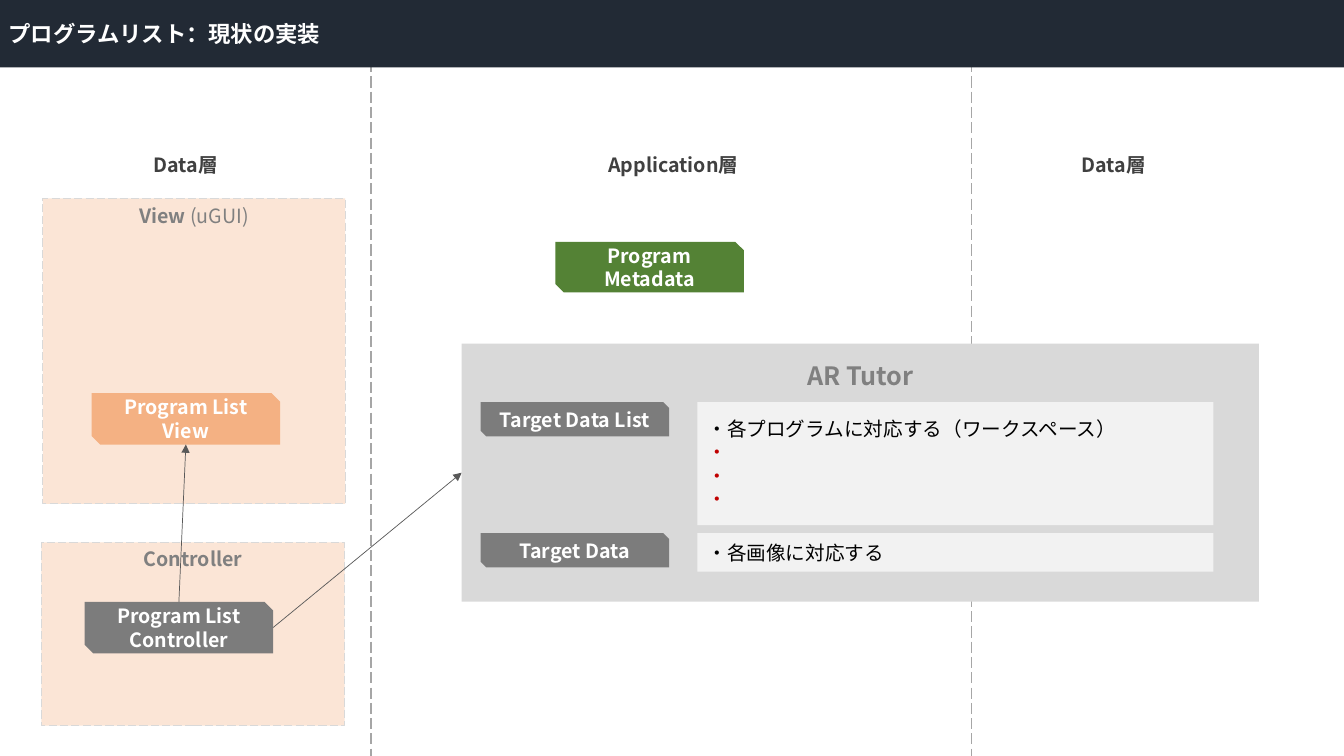
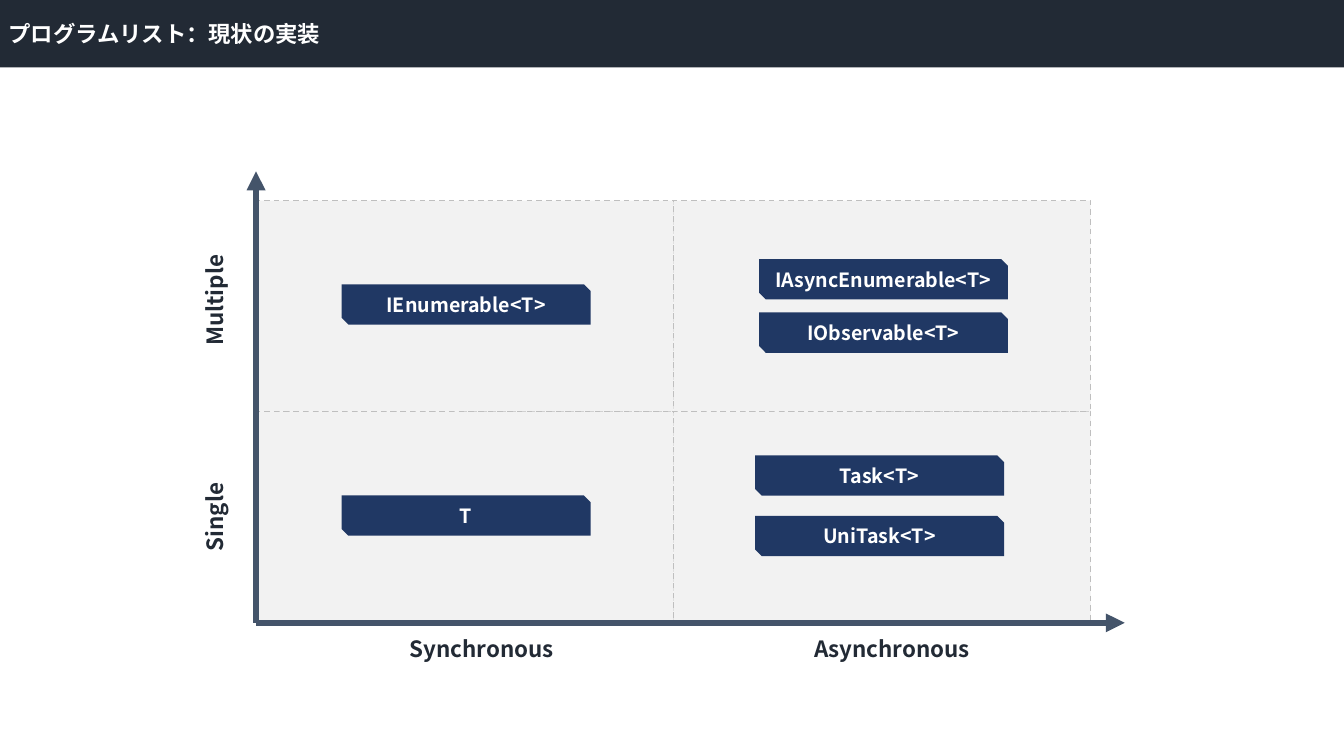
import pptx
import pptx.dml.color
import pptx.enum.dml
import pptx.enum.shapes
import pptx.enum.text
import pptx.oxml.ns
import pptx.util
from lxml import etree

Pt = pptx.util.Pt
SHAPE = pptx.enum.shapes.MSO_SHAPE
DASH = pptx.enum.dml.MSO_LINE
ANCHOR = pptx.enum.text.MSO_ANCHOR
ALIGN = pptx.enum.text.PP_ALIGN

FONT = "Noto Sans CJK JP"
NAVY, DARK, SLATE, GREEN, ORANGE = "203864", "222A35", "44546A", "548235", "F4B183"
PEACH, GREY, MID_GREY, PALE, SILVER = "FBE5D6", "7C7C7C", "808080", "F2F2F2", "D9D9D9"

TAG_TEXT = {"size": 14, "bold": True, "color": "FFFFFF"}
NOTE_TEXT = {"size": 14, "bold": False, "color": "000000", "align": ALIGN.LEFT}
BAND_TEXT = {"size": 16, "bold": True, "color": "FFFFFF", "align": ALIGN.LEFT}
LAYER_TEXT = {"size": 14, "bold": True, "color": "404040"}
AREA_TEXT = {"size": 14, "bold": True, "color": MID_GREY, "anchor": ANCHOR.TOP}
PANEL_TEXT = {"size": 18, "bold": True, "color": MID_GREY, "anchor": ANCHOR.TOP}
AXIS_TEXT = {"size": 16, "bold": True, "color": DARK}

SLIDE_W, SLIDE_H = 960, 540
TITLE = "プログラムリスト：現状の実装"


def paint(color_format, color):
    color_format.rgb = pptx.dml.color.RGBColor.from_string(color)


def assign(target, formats):
    for name, value in formats.items():
        setattr(target, name, value)


def xml_child(parent, tag, **attributes):
    return etree.SubElement(parent, pptx.oxml.ns.qn(tag), attributes)


def write(frame, paragraphs, style):
    """Fill a frame; a paragraph is a string or a list of (text, style changes)."""
    assign(frame, {"word_wrap": True,
                   "vertical_anchor": style.get("anchor", ANCHOR.MIDDLE)})
    for index, content in enumerate(paragraphs):
        paragraph = frame.paragraphs[0] if index == 0 else frame.add_paragraph()
        paragraph.alignment = style.get("align", ALIGN.CENTER)
        runs = [(content, {})] if isinstance(content, str) else content
        for text, changes in runs:
            look = {**style, **changes}
            run = paragraph.add_run()
            run.text = text
            assign(run.font, {"name": FONT, "size": Pt(look["size"]),
                              "bold": look["bold"]})
            paint(run.font.color, look["color"])
            xml_child(run.font._element, "a:ea", typeface=FONT)


def stroke(line, color, width, dash=None):
    paint(line.color, color)
    assign(line, {"width": Pt(width), "dash_style": dash})


def add_block(slide, box, fill, paragraphs=(), style=None, kind=SHAPE.RECTANGLE,
              outline=None):
    block = slide.shapes.add_shape(kind, *map(Pt, box))
    block.shadow.inherit = False
    block.fill.solid()
    paint(block.fill.fore_color, fill)
    if outline:
        stroke(block.line, *outline)
    else:
        block.line.fill.background()
    if paragraphs:
        write(block.text_frame, paragraphs, style)


def add_tag(slide, box, fill, *lines):
    add_block(slide, box, fill, lines, TAG_TEXT, SHAPE.SNIP_2_DIAG_RECTANGLE)


def add_label(slide, box, text, style, rotation=0):
    label = slide.shapes.add_textbox(*map(Pt, box))
    label.rotation = rotation
    write(label.text_frame, [text], style)


def add_line(slide, start, end, color, width, dash=None, arrow=False):
    connector = slide.shapes.add_connector(
        pptx.enum.shapes.MSO_CONNECTOR.STRAIGHT, *map(Pt, (*start, *end)))
    stroke(connector.line, color, width, dash)
    if arrow:
        xml_child(connector.line._get_or_add_ln(), "a:tailEnd", type="triangle")
    xml_child(connector._element.spPr, "a:effectLst")


def add_title_band(slide):
    add_block(slide, (-1, 0, SLIDE_W + 1, 48.2), DARK, [TITLE], BAND_TEXT)


def add_area(slide, box, heading, tag_offset, tag_fill, tag_lines):
    """Draw a dashed area with one tag, and return the tag's box."""
    left, top = box[:2]
    add_block(slide, box, PEACH, [heading], AREA_TEXT,
              outline=(SILVER, 0.75, DASH.LONG_DASH))
    tag = (left + tag_offset[0], top + tag_offset[1], 134.6, 36.7)
    add_tag(slide, tag, tag_fill, *tag_lines)
    return tag


def add_layers(slide):
    for x in (265, 694):
        add_line(slide, (x, 0), (x, SLIDE_H), "A6A6A6", 1, DASH.LONG_DASH)
    for left, name in ((61.2, "Data層"), (409.7, "Application層"), (724.3, "Data層")):
        add_label(slide, (left, 102.2, 142.6, 30.2), name, LAYER_TEXT)


def add_target_panel(slide, box):
    left, top, width, _ = box
    add_block(slide, box, SILVER)
    add_label(slide, (left + 62.2, top + 8, width - 124.4, 28.8), "AR Tutor", PANEL_TEXT)
    dot = [("・", {"color": "C00000"})]
    rows = (
        (41.8, 87.8, "Target Data List",
         ["・各プログラムに対応する（ワークスペース）", dot, dot, dot]),
        (135.4, 27.4, "Target Data", ["・各画像に対応する"]),
    )
    for offset, height, name, notes in rows:
        add_tag(slide, (left + 13.6, top + offset, 134.6, 24.5), GREY, name)
        add_block(slide, (left + 168.4, top + offset, 368.6, height), PALE,
                  notes, NOTE_TEXT)


def build_architecture(slide):
    view = add_area(slide, (30.6, 141.8, 216, 218.2),
                    [("View ", {}), ("(uGUI)", {"bold": False})],
                    (34.9, 139), ORANGE, ("Program List", "View"))
    controller = add_area(slide, (29.5, 387.4, 216.7, 131), "Controller",
                          (31, 42.5), GREY, ("Program List", "Controller"))
    panel = (329.8, 245.5, 569.5, 184.3)

    left, top, width, height = controller
    arrows = (
        ((left + width, top + height / 2), (panel[0], panel[1] + panel[3] / 2)),
        ((left + width / 2, top), (view[0] + view[2] / 2, view[1] + view[3])),
    )
    for start, end in arrows:
        add_line(slide, start, end, "595959", 0.5, arrow=True)

    add_layers(slide)
    add_target_panel(slide, panel)
    add_tag(slide, (396.7, 172.8, 134.6, 36), GREEN, "Program Metadata")
    add_title_band(slide)


def add_quadrant(slide, box, tag_left, tags):
    left, top = box[:2]
    add_block(slide, box, PALE, outline=("BFBFBF", 1, DASH.DASH))
    for offset, name in tags:
        add_tag(slide, (left + tag_left, top + offset, 177.8, 28.8), NAVY, name)


def add_matrix(slide, box):
    left, top, width, height = box
    cell_w, cell_h = width / 2, height / 2
    quadrants = (
        (0, 0, 61.2, [(59.8, "IEnumerable<T>")]),
        (0, 1, 61.2, [(41.8, "IAsyncEnumerable<T>"), (79.9, "IObservable<T>")]),
        (1, 0, 61.2, [(59.8, "T")]),
        (1, 1, 58.4, [(31.2, "Task<T>"), (74.4, "UniTask<T>")]),
    )
    for row, column, tag_left, tags in quadrants:
        add_quadrant(slide, (left + column * cell_w, top + row * cell_h, cell_w, cell_h),
                     tag_left, tags)

    origin = (left, top + height)
    for end in ((left + width + 24.3, top + height), (left, top - 20.9)):
        add_line(slide, origin, end, SLATE, 4.5, arrow=True)

    for offset, name in ((90, "Synchronous"), (383, "Asynchronous")):
        add_label(slide, (left + offset, top + height + 3, 142.6, 30.2), name, AXIS_TEXT)
    for offset, name in ((56.1, "Multiple"), (210.9, "Single")):
        add_label(slide, (left - 100.8, top + offset, 142.6, 30.2), name, AXIS_TEXT, 270)


def build_type_matrix(slide):
    add_title_band(slide)
    add_matrix(slide, (182.9, 143.3, 596.2, 301.6))


def main():
    deck = pptx.Presentation()
    assign(deck, {"slide_width": Pt(SLIDE_W), "slide_height": Pt(SLIDE_H)})
    for build in (build_architecture, build_type_matrix):
        build(deck.slides.add_slide(deck.slide_layouts[6]))
    deck.save("out.pptx")


if __name__ == "__main__":
    main()
